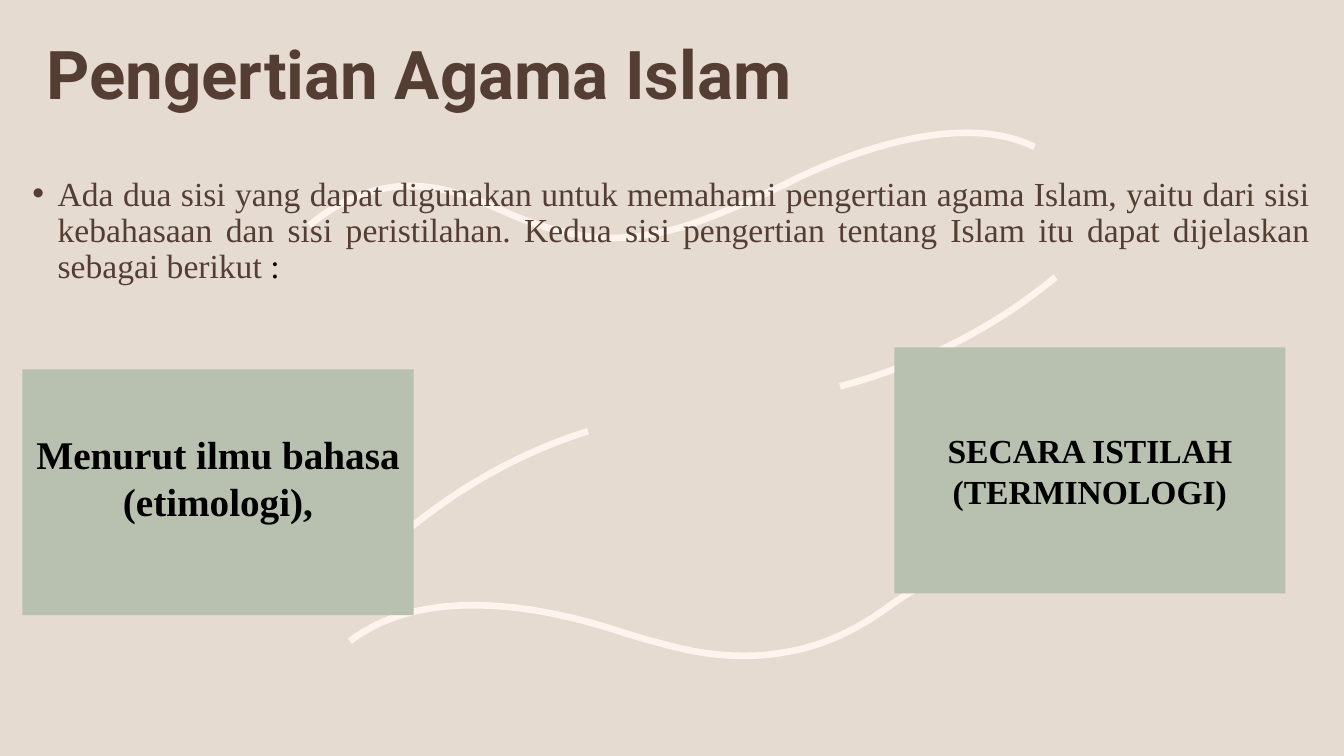
from pptx import Presentation
from pptx.dml.color import RGBColor
from pptx.enum.text import MSO_ANCHOR, MSO_AUTO_SIZE, PP_ALIGN
from pptx.oxml.ns import qn
from pptx.util import Pt
from lxml import etree

LEFT, MID, JUST = PP_ALIGN.LEFT, PP_ALIGN.CENTER, PP_ALIGN.JUSTIFY
TOP, CENTER = MSO_ANCHOR.TOP, MSO_ANCHOR.MIDDLE
NO_FIT = MSO_AUTO_SIZE.NONE

SAND, CREAM, SAGE = "E6DBD0", "FEF3ED", "B8C0B0"
BROWN, BLACK = "543E34", "000000"
SERIF, SANS = "Times New Roman", "Roboto"
BOX_SIZE = (279.4, 175.7)

# Each wave is a start point followed by triples of Bezier points.
WAVES = [
    [(600, 276), (657, 261), (709, 235), (754, 198)],
    [(420, 308), (366, 325), (320, 353), (280, 388)],
    [(221, 161), (252, 135), (287, 127), (323, 137),
     (336, 140), (346, 145), (358, 150), (382, 161), (407, 169), (435, 170),
     (459, 170), (482, 165), (505, 156), (531, 146), (545, 139), (560, 132),
     (577, 123), (677, 74), (739, 105)],
    [(662, 417), (651, 422), (642, 428), (631, 436),
     (611, 450), (587, 462), (560, 466), (537, 470), (514, 469), (490, 464),
     (464, 458), (449, 453), (433, 448), (416, 443), (312, 410), (250, 458)],
]


def color(code):
    """Turn a hex string into a colour."""
    return RGBColor.from_string(code)


def write(para, text, size=24, font=SERIF, ink=BROWN, bold=False):
    """Add one formatted run to a paragraph."""
    run = para.add_run()
    run.text = text
    run.font.size = Pt(size)
    run.font.name = font
    run.font.bold = bold
    run.font.color.rgb = color(ink)


class Page:
    """Holds the style and the current slide."""

    def __init__(self, deck, layout):
        """Add a slide with a plain background."""
        self.slide = deck.slides.add_slide(deck.slide_layouts[layout])
        self.shapes = self.slide.shapes
        fill = self.slide.background.fill
        fill.solid()
        fill.fore_color.rgb = color(SAND)

    def wave(self, points):
        """Draw an open Bezier curve behind the text."""
        pen = self.shapes.build_freeform(*points[0], scale=Pt(1))
        pen.add_line_segments(points[1:], close=False)
        shape = pen.convert_to_shape()
        shape.shadow.inherit = False
        shape.fill.background()
        shape.line.color.rgb = color(CREAM)
        shape.line.width = Pt(4.75)
        path = next(shape.element.iter(qn("a:path")))
        lines = path.findall(qn("a:lnTo"))
        for i in range(0, len(lines), 3):
            curve = etree.SubElement(path, qn("a:cubicBezTo"))
            for line in lines[i:i + 3]:
                curve.append(line[0])
                path.remove(line)
        self.shapes.element.insert(2, shape.element)

    def place(self, index, spot, size, align, anchor=CENTER, space=1.0):
        """Move a placeholder and return it with its first paragraph."""
        holder = next(p for p in self.slide.placeholders
                      if p.placeholder_format.idx == index)
        holder.left, holder.top = map(Pt, spot)
        holder.width, holder.height = map(Pt, size)
        frame = holder.text_frame
        frame.auto_size = NO_FIT
        frame.word_wrap = True
        frame.vertical_anchor = anchor
        para = frame.paragraphs[0]
        para.alignment = align
        para.line_spacing = space
        para.space_before = Pt(0)
        return holder, para

    def title(self, text):
        """Fill the title."""
        _, para = self.place(0, (26, 28), (721, 55), LEFT, space=0.9)
        write(para, text, size=48, font=SANS, bold=True)

    def bullet(self, index, runs):
        """Fill the justified list item from (text, ink) pairs."""
        _, para = self.place(index, (16, 123), (927, 147), JUST, TOP, 0.9)
        para.space_after = Pt(10)
        props = para._p.get_or_add_pPr()
        props.set("marL", str(Pt(18)))
        props.set("indent", str(-Pt(18)))
        for text, ink in runs:
            write(para, text, ink=ink)

    def box(self, index, spot, text, size, lift=0):
        """Fill a sage box, with its text raised by lift points."""
        holder, para = self.place(index, spot, BOX_SIZE, MID)
        holder.fill.solid()
        holder.fill.fore_color.rgb = color(SAGE)
        holder.text_frame.margin_bottom = Pt(3.6 + 2 * lift)
        write(para, text, size=size, ink=BLACK, bold=True)

    def clean(self):
        """Remove the placeholders left empty."""
        for holder in list(self.slide.placeholders):
            if not holder.text_frame.text:
                self.shapes.element.remove(holder.element)


deck = Presentation()
deck.slide_width, deck.slide_height = Pt(960), Pt(540)
page = Page(deck, 4)
for points in WAVES:
    page.wave(points)
page.title("Pengertian Agama Islam")
page.bullet(2, [
    ("Ada dua sisi yang dapat digunakan untuk memahami pengertian agama "
     "Islam, yaitu dari sisi kebahasaan dan sisi peristilahan. Kedua sisi "
     "pengertian tentang Islam itu dapat dijelaskan sebagai berikut ", BROWN),
    (":", BLACK),
])
page.box(1, (16, 263.8), "Menurut ilmu bahasa (etimologi),", 28, lift=11)
page.box(3, (638.8, 248.2), "SECARA ISTILAH (TERMINOLOGI)", 24)
page.clean()
deck.save("out.pptx")
